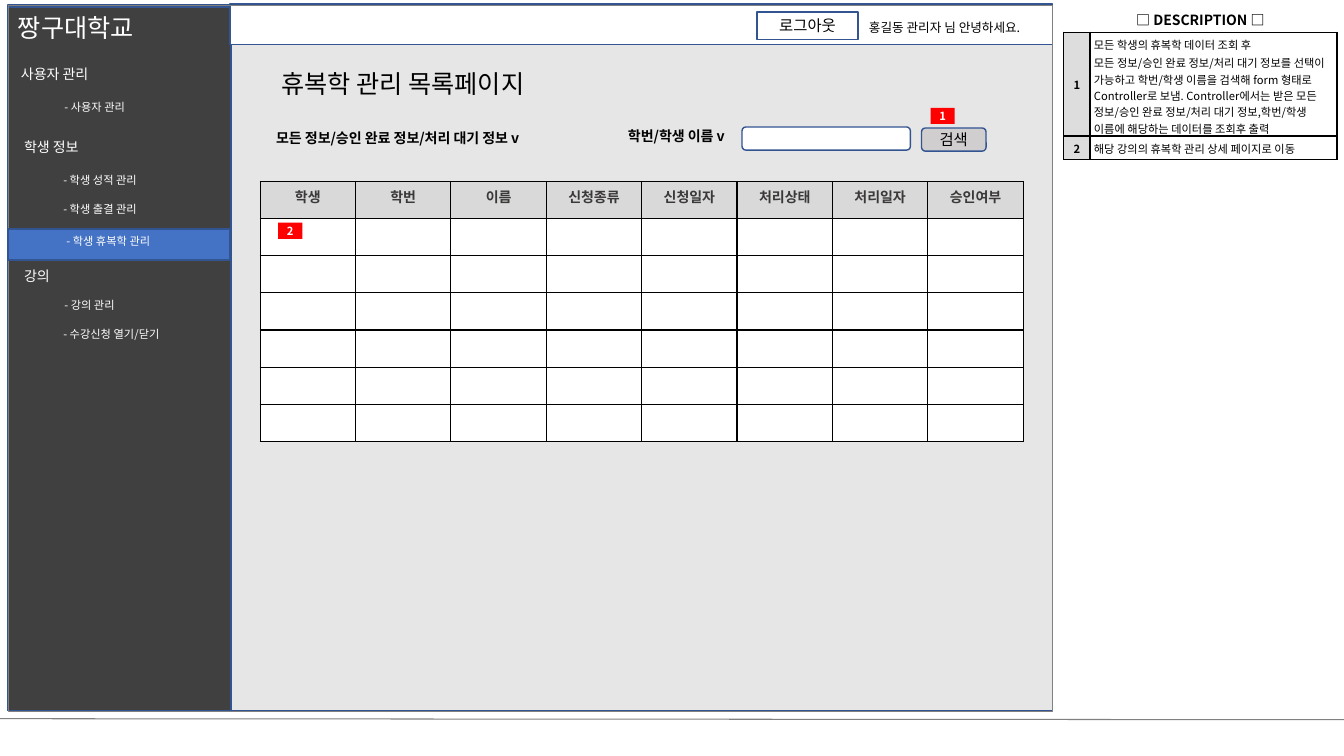
"""Build the leave and return management list page wireframe slide."""
from dataclasses import dataclass

from lxml.etree import SubElement
from pptx import Presentation
from pptx.dml.color import RGBColor
from pptx.enum.shapes import MSO_CONNECTOR, MSO_SHAPE
from pptx.enum.text import MSO_ANCHOR, MSO_AUTO_SIZE, PP_ALIGN
from pptx.oxml.ns import qn
from pptx.util import Inches, Pt

FONT = "Noto Sans CJK KR"
BLUE = "325491"
GRAY = "808080"
WHITE = "FFFFFF"
BLACK = "000000"
RED = "FF0000"


@dataclass(frozen=True)
class Box:
    left: float
    top: float
    width: float
    height: float
    fill: str | None = None
    line: str | None = BLUE
    line_width: float = 1
    text: str = ""
    size: float = 11
    color: str = BLACK
    bold: bool = False
    rounded: bool = False


@dataclass(frozen=True)
class Label:
    left: float
    top: float
    width: float
    height: float
    text: str
    size: float
    color: str = WHITE
    bold: bool = False
    wrap: bool = False


def marker(left: float, top: float, text: str) -> Box:
    return Box(left, top, 0.24, 0.16, RED, None, text=text, size=8, color=WHITE, bold=True)


def menu_title(left: float, top: float, text: str) -> Label:
    return Label(left, top, 3.02, 0.27, text, 10, wrap=True)


def menu_item(left: float, top: float, width: float, text: str) -> Label:
    return Label(left, top, width, 0.24, f"- {text}", 8)


PANELS = [
    Box(0.08, 0.05, 10.36, 7, "E7E6E6"),
    Box(0.08, 0.07, 2.21, 6.98, "404040"),
    Box(2.28, 0.04, 8.16, 0.4, WHITE),
    Box(0.08, 0.05, 10.36, 7.01, None, GRAY, 0.75),
    Box(7.51, 0.12, 1, 0.27, WHITE, text="로그아웃"),
    Box(0.08, 2.27, 2.2, 0.31, "4472C4"),
]
LABELS = [
    menu_title(0.11, 0.6, "사용자 관리"),
    menu_title(0.14, 1.33, "학생 정보"),
    menu_title(0.14, 2.6, "강의"),
    menu_item(0.54, 0.95, 0.89, "사용자 관리"),
    menu_item(0.53, 1.67, 1.04, "학생 성적 관리"),
    menu_item(0.53, 1.96, 1.04, "학생 출결 관리"),
    menu_item(0.56, 2.28, 1.15, "학생 휴복학 관리"),
    menu_item(0.54, 2.91, 0.82, "강의 관리"),
    menu_item(0.53, 3.2, 1.27, "수강신청 열기/닫기"),
    Label(0.08, 0.07, 1.46, 0.4, "짱구대학교", 18),
    Label(2.69, 0.63, 2.91, 0.4, "휴복학 관리 목록페이지", 18, BLACK),
    Label(8.52, 0.15, 1.88, 0.25, "홍길동 관리자 님 안녕하세요.", 9, BLACK),
    Label(6.13, 1.22, 1.28, 0.27, "학번/학생 이름 v", 10, BLACK, True),
    Label(2.64, 1.24, 2.94, 0.27, "모든 정보/승인 완료 정보/처리 대기 정보 v", 10, BLACK, True),
]
CONTROLS = [
    Box(9.14, 1.27, 0.64, 0.23, "D0CECE", text="검색", rounded=True),
    Box(7.36, 1.26, 1.67, 0.23, WHITE, rounded=True),
    marker(9.23, 1.07, "1"),
    marker(2.76, 2.21, "2"),
]
LIST_HEADERS = ["학생", "학번", "이름", "신청종류", "신청일자", "처리상태", "처리일자", "승인여부"]
LIST_ROWS = 7
DESCRIPTIONS = [
    ["모든 학생의 휴복학 데이터 조회 후",
     "모든 정보/승인 완료 정보/처리 대기 정보를 선택이 가능하고 학번/학생 이름을 검색해 form 형태로 "
     "Controller로 보냄. Controller에서는 받은 모든 정보/승인 완료 정보/처리 대기 정보,"
     "학번/학생 이름에 해당하는 데이터를 조회후 출력"],
    ["해당 강의의 휴복학 관리 상세 페이지로 이동"],
]


def rgb(color: str) -> RGBColor:
    return RGBColor.from_string(color)


def write_text(paragraph, text: str, *, size: float, color: str = BLACK,
               bold: bool = False, align=PP_ALIGN.LEFT) -> None:
    paragraph.alignment = align
    run = paragraph.add_run()
    run.text = text
    run.font.size = Pt(size)
    run.font.bold = bold
    run.font.color.rgb = rgb(color)
    run.font.name = FONT
    SubElement(run.font._element, qn("a:ea"), typeface=FONT)


def draw_box(slide, box: Box) -> None:
    kind = MSO_SHAPE.ROUNDED_RECTANGLE if box.rounded else MSO_SHAPE.RECTANGLE
    shape = slide.shapes.add_shape(
        kind, Inches(box.left), Inches(box.top), Inches(box.width), Inches(box.height))
    shape.shadow.inherit = False
    if box.fill:
        shape.fill.solid()
        shape.fill.fore_color.rgb = rgb(box.fill)
    else:
        shape.fill.background()
    if box.line:
        shape.line.color.rgb = rgb(box.line)
        shape.line.width = Pt(box.line_width)
    else:
        shape.line.fill.background()
    if box.text:
        frame = shape.text_frame
        frame.word_wrap = False
        frame.vertical_anchor = MSO_ANCHOR.MIDDLE
        write_text(frame.paragraphs[0], box.text, size=box.size, color=box.color,
                   bold=box.bold, align=PP_ALIGN.CENTER)


def draw_label(slide, label: Label) -> None:
    frame = slide.shapes.add_textbox(
        Inches(label.left), Inches(label.top), Inches(label.width), Inches(label.height)).text_frame
    frame.word_wrap = label.wrap
    frame.auto_size = MSO_AUTO_SIZE.SHAPE_TO_FIT_TEXT
    write_text(frame.paragraphs[0], label.text, size=label.size, color=label.color, bold=label.bold)


def style_cell(cell, fill: str, sides: str = "LRTB") -> None:
    properties = cell._tc.get_or_add_tcPr()
    for side in sides:
        border = SubElement(properties, qn(f"a:ln{side}"), w=str(Pt(1)))
        SubElement(SubElement(border, qn("a:solidFill")), qn("a:srgbClr"), val=BLACK)
    cell.fill.solid()
    cell.fill.fore_color.rgb = rgb(fill)


def add_plain_table(slide, left: float, top: float, columns: list[float], rows: list[float]):
    table = slide.shapes.add_table(
        len(rows), len(columns), Inches(left), Inches(top),
        Inches(sum(columns)), Inches(sum(rows))).table
    table.first_row = table.horz_banding = False
    for column, width in zip(table.columns, columns):
        column.width = Inches(width)
    for row, height in zip(table.rows, rows):
        row.height = Inches(height)
    return table


def draw_list_table(slide) -> None:
    columns = len(LIST_HEADERS)
    table = add_plain_table(slide, 2.58, 1.8, [7.57 / columns] * columns, [2.58 / LIST_ROWS] * LIST_ROWS)
    for index, cell in enumerate(table.iter_cells()):
        paragraph = cell.text_frame.paragraphs[0]
        if index < columns:
            style_cell(cell, "D9D9D9")
            write_text(paragraph, LIST_HEADERS[index], size=10, color="3B3838",
                       bold=True, align=PP_ALIGN.CENTER)
        else:
            style_cell(cell, WHITE)
            paragraph._p.get_or_add_endParaRPr().set("sz", "1000")


def fill_description_cell(cell, texts: list[str], **text_format) -> None:
    cell.margin_left = cell.margin_right = cell.margin_top = cell.margin_bottom = Inches(0.04)
    cell.vertical_anchor = MSO_ANCHOR.MIDDLE
    for index, text in enumerate(texts):
        paragraph = cell.text_frame.add_paragraph() if index else cell.text_frame.paragraphs[0]
        paragraph.space_before = Pt(1.6)
        write_text(paragraph, text, **text_format)


def draw_description_table(slide) -> None:
    table = add_plain_table(slide, 10.55, 0.05, [0.26, 2.45], [0.27, 1.03, 0.23])
    title = table.cell(0, 0)
    title.merge(table.cell(0, 1))
    for column in range(2):
        style_cell(table.cell(0, column), WHITE, "B")
    fill_description_cell(title, ["□ DESCRIPTION □"], size=10, bold=True, align=PP_ALIGN.CENTER)
    for number, texts in enumerate(DESCRIPTIONS, start=1):
        number_cell, text_cell = table.cell(number, 0), table.cell(number, 1)
        style_cell(number_cell, "DDDDDD")
        style_cell(text_cell, WHITE)
        fill_description_cell(number_cell, [str(number)], size=8, bold=True, align=PP_ALIGN.CENTER)
        fill_description_cell(text_cell, texts, size=8)


def draw_footer_line(slide) -> None:
    line = slide.shapes.add_connector(
        MSO_CONNECTOR.STRAIGHT, Inches(0), Inches(7.13), Inches(13.33), Inches(7.14))
    line.line.color.rgb = rgb(GRAY)
    line.line.width = Pt(0.75)
    SubElement(line._element.spPr, qn("a:effectLst"))


def main() -> None:
    presentation = Presentation()
    presentation.slide_width, presentation.slide_height = Inches(13.33), Inches(7.5)
    slide = presentation.slides.add_slide(presentation.slide_layouts[6])
    for panel in PANELS:
        draw_box(slide, panel)
    draw_footer_line(slide)
    for label in LABELS:
        draw_label(slide, label)
    draw_list_table(slide)
    for control in CONTROLS:
        draw_box(slide, control)
    draw_description_table(slide)
    presentation.save("out.pptx")


if __name__ == "__main__":
    main()
